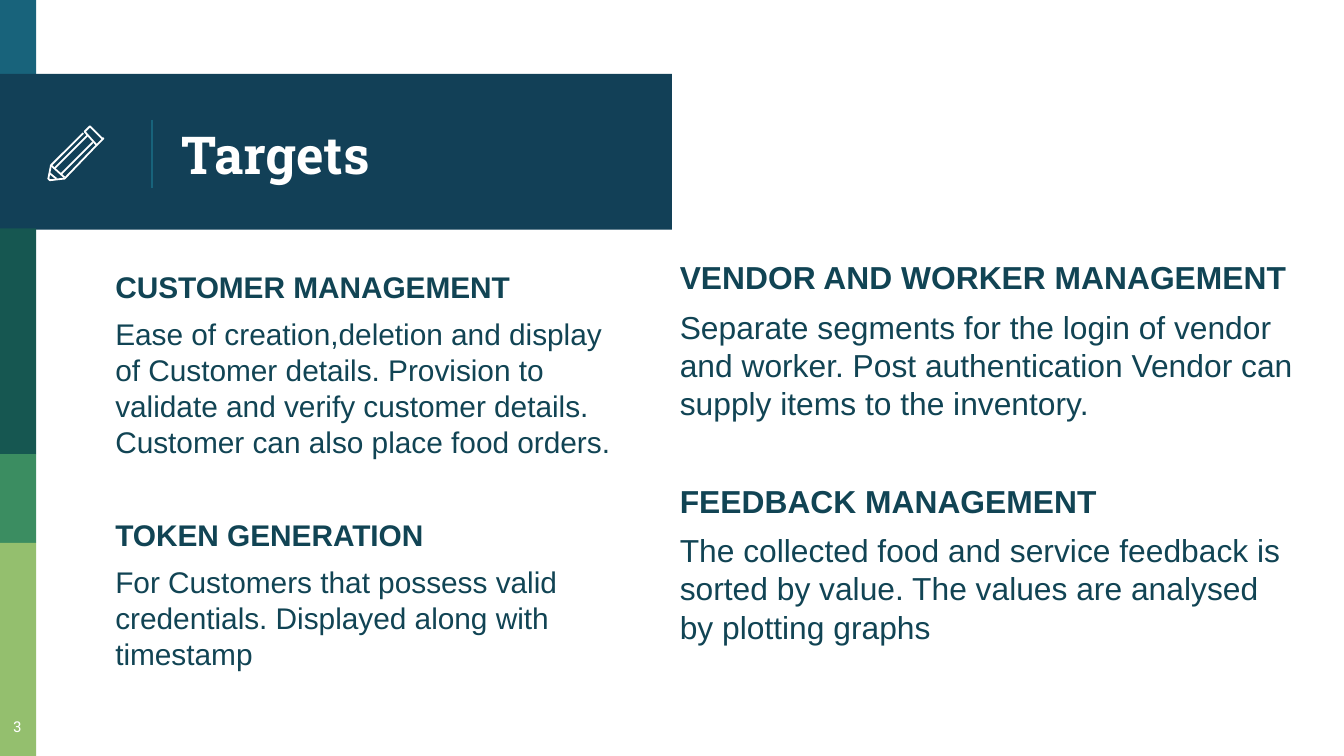
from pptx import Presentation
from pptx.dml.color import RGBColor
from pptx.enum.shapes import MSO_CONNECTOR as Connector, MSO_SHAPE as Shape
from pptx.enum.text import MSO_ANCHOR as Anchor, PP_ALIGN as Align
from pptx.oxml.ns import qn
from pptx.util import Inches, Pt
from lxml import etree

THEME = {
    "teal": "18637B", "navy": "124057", "pine": "165751", "green": "3B8D61",
    "lime": "94BF6E", "ink": "114454", "white": "FFFFFF",
    "body_font": "Arial", "title_font": "Roboto Slab",
    "title_size": 28, "number_size": 8, "left_size": 16, "right_size": 17,
    "space": 6, "line_height": 1.19,
}

BANDS = [
    ((0, 0, 0.27, 0.58), "teal"),
    ((0, 0.55, 5, 1.16), "navy"),
    ((0, 1.7, 0.27, 1.68), "pine"),
    ((0, 3.38, 0.27, 0.66), "green"),
    ((0, 4.04, 0.27, 1.59), "lime"),
]

COLUMNS = [
    ((0.76, 1.9, 4, 3.45), "left_size", [
        ("CUSTOMER MANAGEMENT",
         "Ease of creation,deletion and display of Customer details. Provision to "
         "validate and verify customer details. Customer can also place food orders."),
        ("TOKEN GENERATION",
         "For Customers that possess valid credentials. Displayed along with timestamp"),
    ]),
    ((4.96, 1.82, 4.77, 3.45), "right_size", [
        ("VENDOR AND WORKER MANAGEMENT",
         "Separate segments for the login of vendor and worker. Post authentication "
         "Vendor can supply items to the inventory."),
        ("FEEDBACK MANAGEMENT",
         "The collected food and service feedback is sorted by value. The values are "
         "analysed by plotting graphs"),
    ]),
]

PENCIL_STROKES = [
    ([(76, 103), (68, 95), (67, 94), (66, 95), (63, 98), (72, 108), (76, 104), (77, 103)], True),
    ([(69, 106), (45, 130)], False),
    ([(62, 99), (38, 123), (36, 133), (37, 134), (38, 134), (47, 133), (48, 133), (72, 108)], False),
    ([(41, 125), (65, 101)], False),
    ([(42, 133), (37, 129)], False),
    ([(38, 123), (48, 132)], False),
]


def color(name):
    return RGBColor.from_string(THEME[name])


def add_band(page, place, fill):
    band = page.shapes.add_shape(Shape.RECTANGLE, *map(Inches, place))
    band.shadow.inherit = False
    band.fill.solid()
    band.fill.fore_color.rgb = color(fill)
    band.line.fill.background()


def add_divider(page):
    divider = page.shapes.add_connector(
        Connector.STRAIGHT, Inches(1.13), Inches(0.89), Inches(1.13), Inches(1.4))
    divider.line.color.rgb = color("teal")
    divider.line.width = Pt(0.75)
    etree.SubElement(divider._element.spPr, qn("a:effectLst"))


def add_box(page, place):
    box = page.shapes.add_textbox(*map(Inches, place))
    frame = box.text_frame
    frame.word_wrap = True
    frame.margin_left = frame.margin_right = Inches(0.1)
    frame.margin_top = frame.margin_bottom = Inches(0.1)
    return frame


def write(para, text, font, size, ink, bold=False):
    para.text = text
    para.font.name = THEME[font]
    para.font.size = Pt(THEME[size])
    para.font.bold = bold
    para.font.color.rgb = color(ink)


def add_column(page, place, size, sections):
    frame = add_box(page, place)
    section_gap = 2 * THEME["space"] + THEME["line_height"] * THEME[size]
    for index, section in enumerate(sections):
        for part, text in enumerate(section):
            is_first = index == part == 0
            para = frame.paragraphs[0] if is_first else frame.add_paragraph()
            write(para, text, "body_font", size, "ink", bold=part == 0)
            starts_later_section = index > 0 and part == 0
            para.space_before = Pt(section_gap if starts_later_section else THEME["space"])


def add_pencil(page):
    pencil = page.shapes.add_group_shape()
    for points, closed in PENCIL_STROKES:
        builder = pencil.shapes.build_freeform(*points[0], scale=Inches(0.01))
        builder.add_line_segments(points[1:], close=closed)
        stroke = builder.convert_to_shape()
        stroke.shadow.inherit = False
        stroke.fill.background()
        stroke.line.color.rgb = color("white")
        stroke.line.width = Pt(0.96)


def main():
    deck = Presentation()
    deck.slide_width = Inches(10)
    deck.slide_height = deck.slide_width * 9 // 16
    page = deck.slides.add_slide(deck.slide_layouts[6])
    for place, fill in BANDS:
        add_band(page, place, fill)
    add_divider(page)

    title = add_box(page, (1.25, 0.58, 3.51, 1.12))
    title.vertical_anchor = Anchor.MIDDLE
    write(title.paragraphs[0], "Targets", "title_font", "title_size", "white", bold=True)

    for place, size, sections in COLUMNS:
        add_column(page, place, size, sections)
    add_pencil(page)

    number = add_box(page, (-0.06, 5.27, 0.38, 0.35))
    write(number.paragraphs[0], "3", "title_font", "number_size", "white")
    number.paragraphs[0].alignment = Align.CENTER
    deck.save("out.pptx")


if __name__ == "__main__":
    main()
